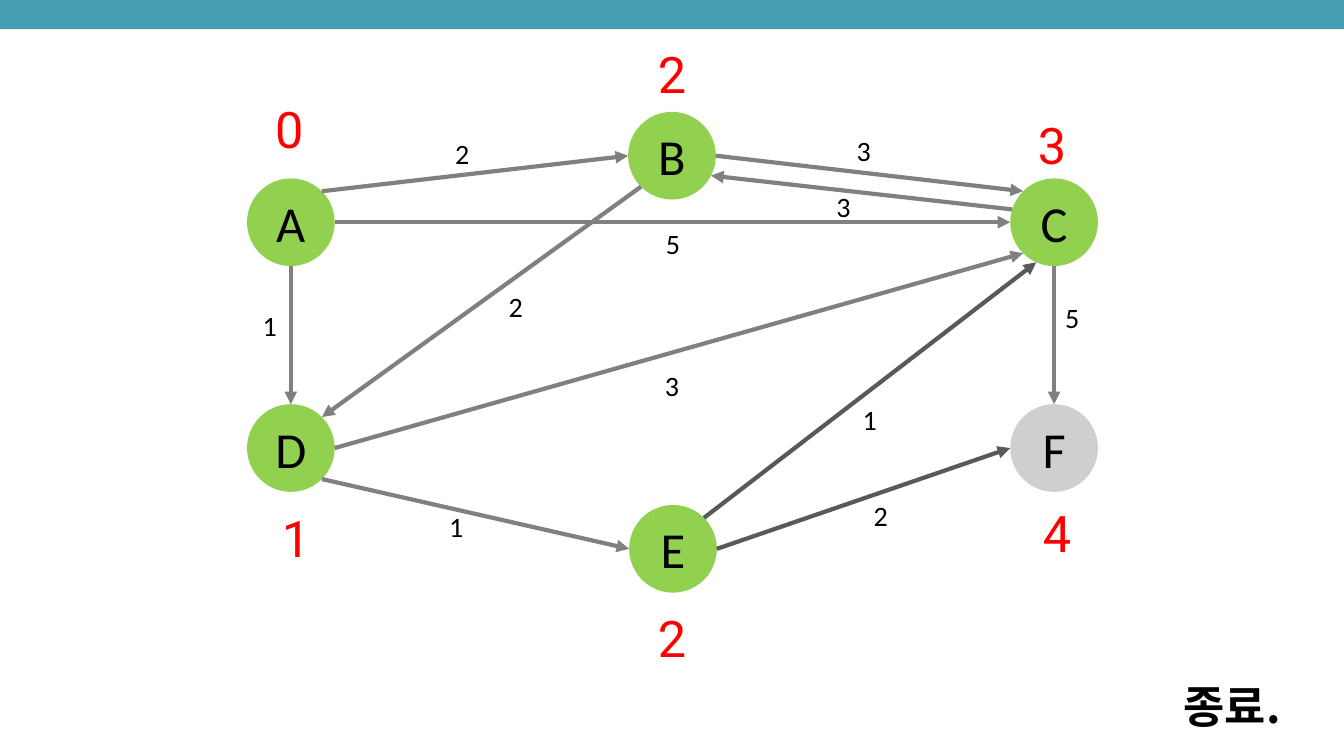
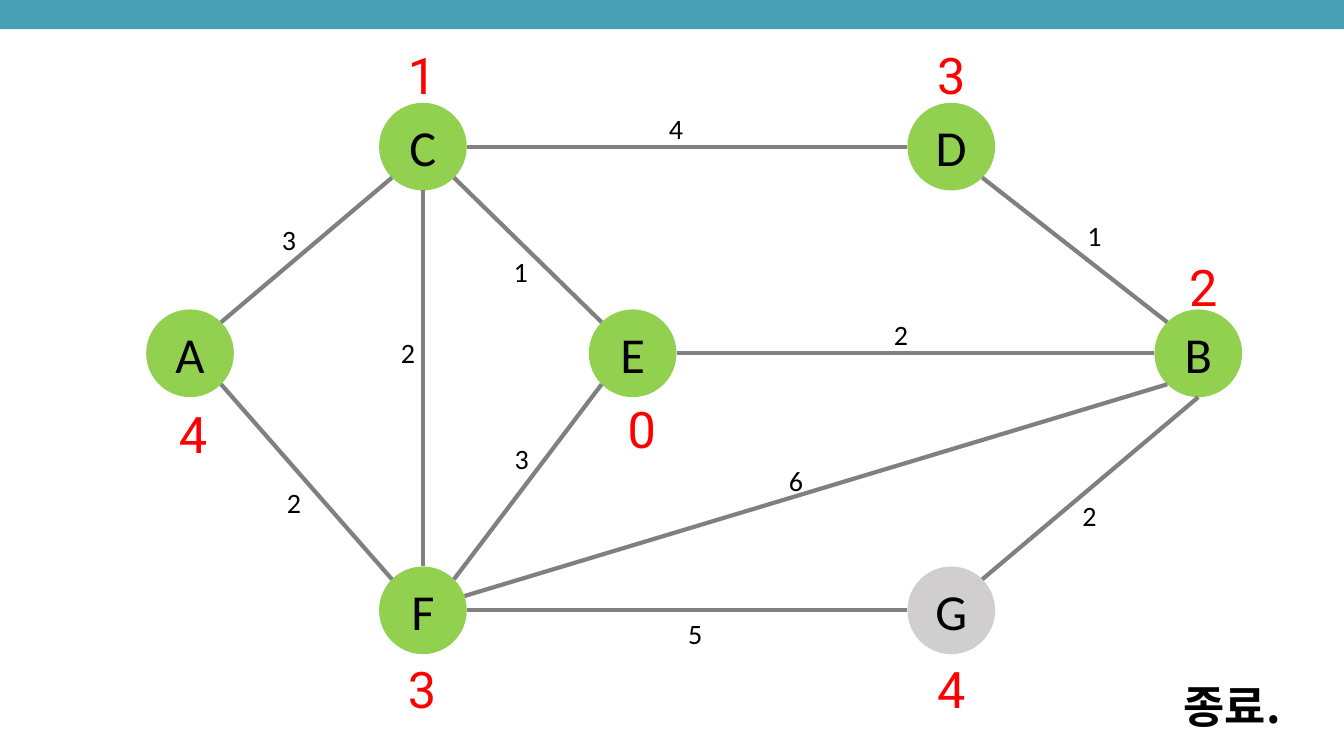
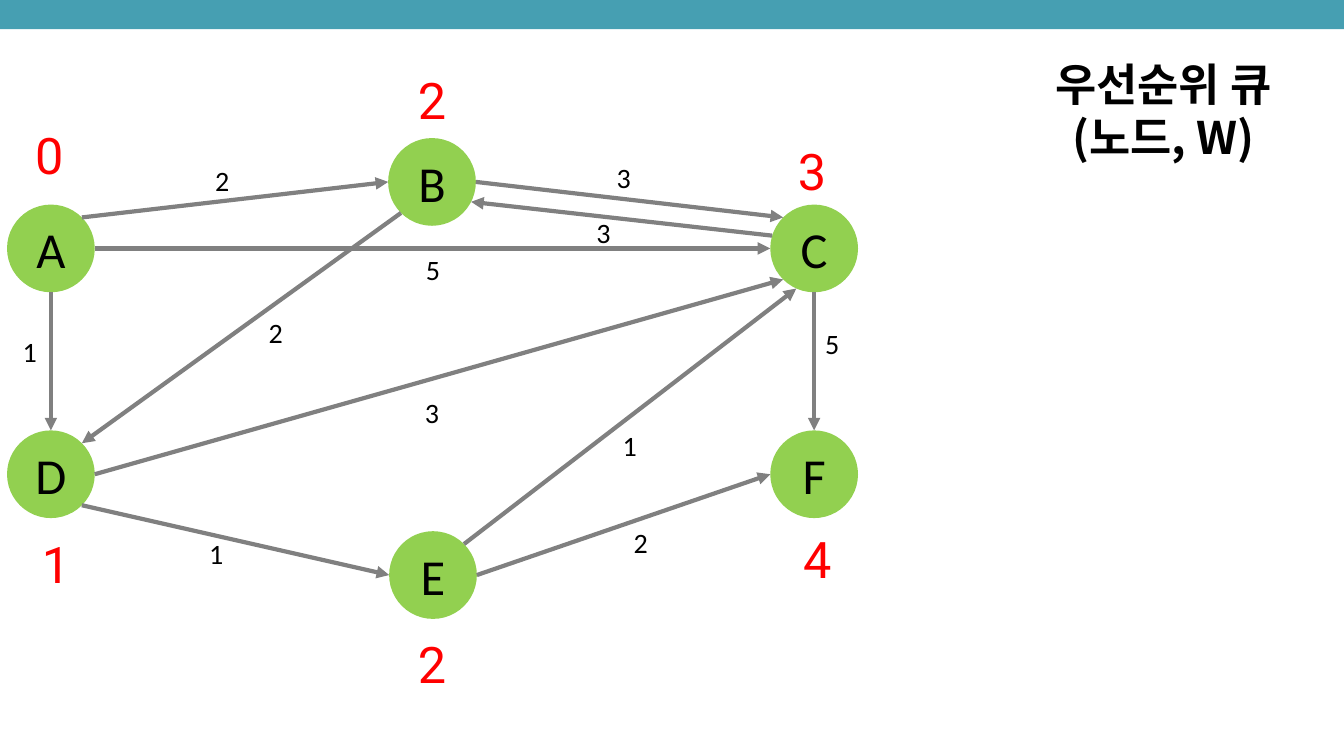
from math import cos, sin, radians
from pptx import Presentation
from pptx.dml.color import RGBColor as RGB
from pptx.enum.shapes import MSO_CONNECTOR as Link, MSO_SHAPE as Kind
from pptx.enum.text import MSO_ANCHOR as Anchor, PP_ALIGN as Align
from pptx.oxml.ns import qn
from pptx.util import Inches, Pt
from lxml.etree import SubElement as Sub

# Shared style
GREEN, GREY, TEAL, RED, BLACK = "92D050", "D0CECE", "469FB2", "FF0000", "000000"
EDGE, DARK = "808080", "595959"
SIZE = 0.87
FONTS = {
    "node": {"name": "Calibri", "size": Pt(36), "bold": False},
    "mark": {"name": "Calibri", "size": Pt(20), "bold": False},
    "cost": {"name": "Roboto", "size": Pt(36), "bold": False},
    "note": {"name": "Noto Sans CJK KR", "size": Pt(32), "bold": True},
}
# Where an edge meets a node: degrees clockwise from the right
PORTS = {"E": 0, "SE": 45, "S": 90, "SW": 135, "W": 180, "NW": 225, "N": 270,
         "NE": 315, "SSW": 114, "ENE": 341, "WNW": 197, "ESE": 27}


def tint(code):
    return RGB.from_string(code)


class Deck:
    def __init__(self):
        self.prs = Presentation()
        self.prs.slide_width, self.prs.slide_height = Inches(13.33), Inches(7.5)

    def page(self):
        self.slide = self.prs.slides.add_slide(self.prs.slide_layouts[6])
        self.nodes = {}
        self.shape(Kind.RECTANGLE, 0, 0, 13.33, 0.29, TEAL)

    def shape(self, kind, x, y, w, h, fill):
        item = self.slide.shapes.add_shape(kind, *map(Inches, (x, y, w, h)))
        item.shadow.inherit = False
        item.fill.solid()
        item.fill.fore_color.rgb = tint(fill)
        item.line.fill.background()
        return item

    def letter(self, frame, text, style, color=BLACK, align=Align.CENTER):
        for i, line in enumerate(text.split("\n")):
            para = frame.add_paragraph() if i else frame.paragraphs[0]
            para.alignment = align
            run = para.add_run()
            run.text = line
            for key, val in FONTS[style].items():
                setattr(run.font, key, val)
            run.font.color.rgb = tint(color)
            Sub(run.font._element, qn("a:ea"), typeface=FONTS[style]["name"])

    def text(self, x, y, w, h, text, style, **look):
        box = self.slide.shapes.add_textbox(*map(Inches, (x, y, w, h)))
        box.text_frame.word_wrap = True
        self.letter(box.text_frame, text, style, **look)

    def node(self, name, x, y, fill):
        item = self.shape(Kind.OVAL, x, y, SIZE, SIZE, fill)
        frame = item.text_frame
        frame.vertical_anchor = Anchor.MIDDLE
        frame.word_wrap = False
        self.letter(frame, name, "node")
        self.nodes[name] = x + SIZE / 2, y + SIZE / 2

    def port(self, name, side):
        x, y = self.nodes[name]
        turn = radians(PORTS[side])
        return Inches(x + SIZE / 2 * cos(turn)), Inches(y + SIZE / 2 * sin(turn))

    def edge(self, route, color, arrow):
        start, out, end, into = route.split()
        link = self.slide.shapes.add_connector(
            Link.STRAIGHT, *self.port(start, out), *self.port(end, into))
        link.line.width = Pt(3)
        link.line.color.rgb = tint(color)
        props = link.element.spPr
        if arrow:
            Sub(props.find(qn("a:ln")), qn("a:tailEnd"), type="triangle")
        Sub(props, qn("a:effectLst"))

    def graph(self, nodes, edges, costs, dx=0, dy=0, arrow=True, grey="", dark=""):
        for name, (x, y) in nodes.items():
            self.node(name, x + dx, y + dy, GREY if name in grey else GREEN)
        for route, *_ in edges:
            self.edge(route, DARK if route[0] in dark else EDGE, arrow)
        for _, mark, x, y in edges:
            self.text(x + dx, y + dy, 0.39, 0.44, mark, "mark")
        for cost, x, y, w in costs:
            self.text(x + dx, y + dy, w, 0.71, cost, "cost", color=RED)

    def finish(self):
        self.text(11.64, 6.68, 1.69, 0.64, "종료.", "note", align=Align.LEFT)


# Directed graph: nodes, edges with weight and its place, costs
ONE_WAY = (
    {"A": (2.45, 1.77), "B": (6.23, 1.11), "C": (10.02, 1.77),
     "D": (2.45, 4.01), "E": (6.24, 5.01), "F": (10.02, 4.01)},
    [("A NE B W", "2", 4.39, 1.31), ("A E C W", "5", 6.48, 2.2),
     ("A S D N", "1", 2.48, 3.01), ("B SW D NE", "2", 4.92, 2.82),
     ("B E C NW", "3", 8.37, 1.28), ("C WNW B ESE", "3", 8.17, 1.83),
     ("D E C SW", "3", 6.47, 3.61), ("D SE E W", "1", 4.33, 5.01),
     ("E NE C SSW", "1", 8.43, 3.94), ("E E F W", "2", 8.54, 4.9),
     ("C S F N", "5", 10.44, 2.93)],
    [("0", 2.59, 0.92, 0.56), ("1", 2.38, 4.98, 1.11), ("2", 6.11, 5.97, 1.11),
     ("2", 6.11, 0.38, 1.11), ("4", 9.93, 4.93, 1.11), ("3", 9.88, 1.08, 1.11)],
)
# Undirected graph
TWO_WAY = (
    {"A": (1.45, 3.07), "C": (3.76, 1.02), "F": (3.76, 5.62), "E": (5.84, 3.07),
     "D": (9, 1.02), "B": (11.45, 3.07), "G": (9, 5.62)},
    [("A NE C SW", "3", 2.67, 2.16), ("A SE F NW", "2", 2.72, 4.77),
     ("C S F N", "2", 3.85, 3.28), ("E SW F NE", "3", 4.98, 4.33),
     ("C SE E NW", "1", 4.97, 2.48), ("F E G W", "5", 6.7, 6.07),
     ("C E D W", "4", 6.51, 1.06), ("B W E E", "2", 8.74, 3.1),
     ("B SW F ENE", "6", 7.7, 4.55), ("B S G NE", "2", 10.61, 4.9),
     ("D SE B NW", "1", 10.66, 2.12)],
    [("4", 1.37, 3.95, 1.09), ("1", 3.63, 0.39, 1.11), ("3", 8.88, 0.39, 1.11),
     ("0", 5.81, 3.9, 1.11), ("2", 11.38, 2.49, 1.11), ("3", 3.63, 6.48, 1.11),
     ("4", 8.88, 6.48, 1.11)],
)

deck = Deck()

# Slide 1: directed graph, finished
deck.page()
deck.graph(*ONE_WAY, grey="F", dark="E")
deck.finish()

# Slide 2: undirected graph, finished
deck.page()
deck.graph(*TWO_WAY, arrow=False, grey="G")
deck.finish()

# Slide 3: directed graph beside the queue
deck.page()
deck.text(10, 0.51, 3.08, 1.72, "우선순위 큐\n(노드, W)", "note")
deck.graph(*ONE_WAY, dx=-2.38, dy=0.26)

deck.prs.save("out.pptx")
